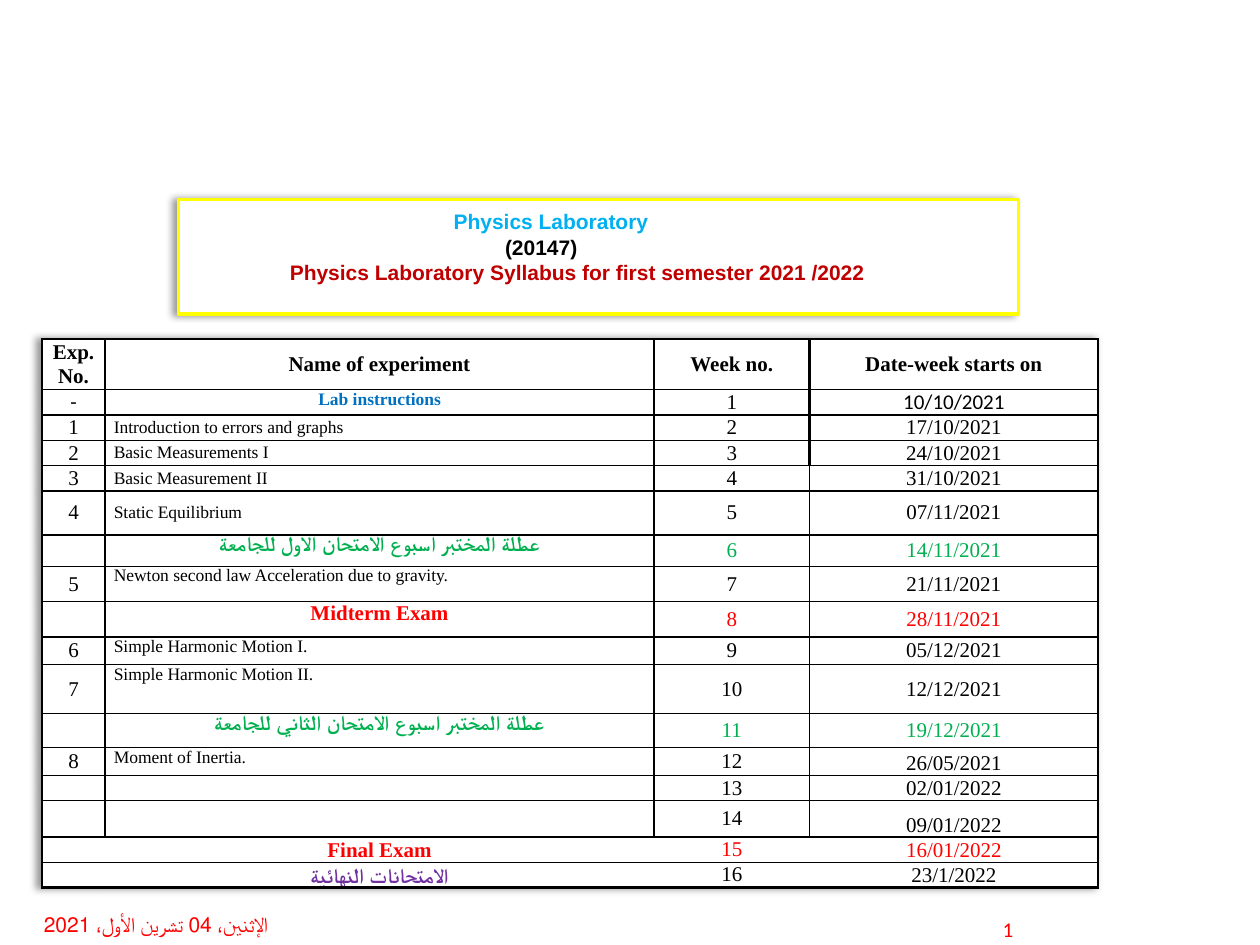
import lxml.etree
import pptx
import pptx.dml.color
import pptx.enum.text
import pptx.oxml.ns
import pptx.util

ANCHOR = pptx.enum.text.MSO_ANCHOR
ALIGN = pptx.enum.text.PP_ALIGN
BLACK, WHITE, RED, GREEN = "000000", "FFFFFF", "FF0000", "00B050"
BLUE, PURPLE, SKY, DARK_RED, YELLOW = "0070C0", "7030A0", "00B0F0", "C00000", "FFFF00"

HEADING = [
    ("Physics Laboratory", SKY, 25),
    ("(20147)", BLACK, 29.9),
    ("Physics Laboratory Syllabus for first semester 2021 /2022", DARK_RED, 9.4),
]
COLUMN_WIDTHS = [6, 52.3, 14.8, 27.5]
HEADERS = ["Exp. No.", "Name of experiment", "Week no.", "Date-week starts on"]
WEEKS = [
    ("-", "Lab instructions", "10/10/2021", 2.4),
    ("1", "Introduction to errors and graphs", "17/10/2021", 2.4),
    ("2", "Basic Measurements I", "24/10/2021", 2.4),
    ("3", "Basic Measurement II", "31/10/2021", 2.4),
    ("4", "Static Equilibrium", "07/11/2021", 4.2),
    ("", "عطلة المختبر اسبوع الامتحان الاول للجامعة", "14/11/2021", 3),
    ("5", "Newton second law Acceleration due to gravity.", "21/11/2021", 3.36),
    ("", "Midterm Exam", "28/11/2021", 3.36),
    ("6", "Simple Harmonic Motion I.", "05/12/2021", 2.64),
    ("7", "Simple Harmonic Motion II.", "12/12/2021", 4.68),
    ("", "عطلة المختبر اسبوع الامتحان الثاني للجامعة", "19/12/2021", 3.24),
    ("8", "Moment of Inertia.", "26/05/2021", 2.64),
    ("", "", "02/01/2022", 2.4),
    ("", "", "09/01/2022", 3.48),
    ("", "Final Exam", "16/01/2022", 2.4),
    ("", "الامتحانات النهائية", "23/1/2022", 2.4),
]
NAME_COLORS = {1: BLUE, 6: GREEN, 8: RED, 11: GREEN, 15: RED, 16: PURPLE}
FULL_ROW_COLORS = {6: GREEN, 8: RED, 11: GREEN, 15: RED}


def color(value):
    return pptx.dml.color.RGBColor.from_string(value)


def element(parent, tag, **attributes):
    return lxml.etree.SubElement(parent, pptx.oxml.ns.qn(tag), attributes)


def add_shadow(effects):
    shadow = element(effects, "a:outerShdw", blurRad="50800", dist="38100", dir="10800000")
    element(element(shadow, "a:srgbClr", val=BLACK), "a:alpha", val="40000")


class SyllabusSlide:
    """Holds the style and current slide on a 120 by 90 grid."""

    def __init__(self, presentation):
        self.unit = presentation.slide_width / 120
        self.font_name = "Times New Roman"
        self.slide = presentation.slides.add_slide(presentation.slide_layouts[5])

    def size(self, units):
        return pptx.util.Emu(round(units * self.unit))

    def format(self, paragraph, text, text_color, font_name, size=12, bold=False, align=ALIGN.CENTER):
        paragraph.text = text
        paragraph.alignment = align
        font = paragraph.font
        font.name, font.size, font.bold = font_name, pptx.util.Pt(size), bold
        font.color.rgb = color(text_color)
        if not text:
            element(paragraph._p, "a:endParaRPr", sz=str(size * 100))

    def title(self, lines, left, top, width, height):
        shape = self.slide.shapes.title
        shape.left, shape.top = self.size(left), self.size(top)
        shape.width, shape.height = self.size(width), self.size(height)
        shape.fill.solid()
        shape.fill.fore_color.rgb = color(WHITE)
        shape.line.color.rgb = color(YELLOW)
        shape.line.width = pptx.util.Pt(2)
        shape.shadow.inherit = False
        add_shadow(shape._element.spPr.find(pptx.oxml.ns.qn("a:effectLst")))
        frame = shape.text_frame
        frame.auto_size = pptx.enum.text.MSO_AUTO_SIZE.NONE
        frame.vertical_anchor = ANCHOR.TOP
        frame.margin_top = self.size(0.9)
        for index, (text, text_color, indent) in enumerate(lines):
            paragraph = frame.add_paragraph() if index else frame.paragraphs[0]
            self.format(paragraph, text, text_color, "Arial", bold=True, align=ALIGN.LEFT)
            paragraph._p.get_or_add_pPr().set("marL", str(self.size(indent)))

    def text(self, text, left, top, width, height, align):
        shape = self.slide.shapes.add_textbox(*map(self.size, (left, top, width, height)))
        frame = shape.text_frame
        frame.word_wrap = True
        frame.vertical_anchor = ANCHOR.MIDDLE
        self.format(frame.paragraphs[0], text, RED, "Calibri", align=align)

    def table(self, rows, heights, widths, left, top):
        box = map(self.size, (left, top, sum(widths), sum(heights)))
        table = self.slide.shapes.add_table(len(rows), len(widths), *box).table
        table.first_row = table.horz_banding = False
        effects = lxml.etree.Element(pptx.oxml.ns.qn("a:effectLst"))
        add_shadow(effects)
        table._tbl.tblPr.insert(0, effects)
        for column, width in zip(table.columns, widths):
            column.width = self.size(width)
        for row, (texts, height) in enumerate(zip(rows, heights)):
            table.rows[row].height = self.size(height)
            for column, text in enumerate(texts):
                self.cell(table.cell(row, column), text, row, column, len(rows) - 1)

    def cell(self, cell, text, row, column, last_row):
        inner = 0 if row > last_row - 2 else 1.5 if row < 4 else 1
        self.border(cell, "L", inner if column else 1.5)
        self.border(cell, "R", inner if column < 3 else 1.5)
        self.border(cell, "T", 1 if row else 1.5)
        self.border(cell, "B", 1 if row < last_row else 1.5)
        cell.fill.solid()
        cell.fill.fore_color.rgb = color(WHITE)
        cell.margin_left = cell.margin_right = self.size(0.84)
        cell.margin_top = cell.margin_bottom = 0
        cell.vertical_anchor = self.anchor(row, column, last_row)
        is_name = column == 1 and row > 0
        marked = is_name and row in NAME_COLORS
        colors = NAME_COLORS if is_name else FULL_ROW_COLORS
        plain_name = is_name and not marked
        font_name = "Calibri" if row == 1 and column in (0, 3) or row == last_row and is_name else self.font_name
        self.format(
            cell.text_frame.paragraphs[0], text, colors.get(row, BLACK), font_name,
            size=10 if plain_name or is_name and row == 1 else 12,
            bold=row == 0 or marked,
            align=ALIGN.LEFT if plain_name else ALIGN.CENTER,
        )

    def anchor(self, row, column, last_row):
        if column == 1 and (row == 1 or 6 <= row <= last_row - 2):
            return ANCHOR.TOP
        if column == 1 and row > last_row - 2:
            return ANCHOR.BOTTOM
        if column == 3 and row >= 12 or row == 1 and column in (0, 3):
            return ANCHOR.BOTTOM
        return ANCHOR.MIDDLE

    def border(self, cell, side, width):
        properties = cell._tc.get_or_add_tcPr()
        line = element(properties, f"a:ln{side}", w=str(pptx.util.Pt(width)))
        if width:
            element(element(line, "a:solidFill"), "a:srgbClr", val=BLACK)
        else:
            element(line, "a:noFill")


def main():
    presentation = pptx.Presentation()
    presentation.slide_width = pptx.util.Inches(10)
    presentation.slide_height = pptx.util.Inches(7.5)
    syllabus = SyllabusSlide(presentation)
    syllabus.title(HEADING, 17, 19, 80, 10.9)
    rows = [HEADERS] + [
        (number, name, str(week), date)
        for week, (number, name, date, height) in enumerate(WEEKS, 1)
    ]
    heights = [4.8] + [week[-1] for week in WEEKS]
    syllabus.table(rows, heights, COLUMN_WIDTHS, 4, 32.3)
    syllabus.text("الإثنين، 04 تشرين الأول، 2021", 3, 86, 30, 4, ALIGN.LEFT)
    syllabus.text("1", 89, 87, 14, 3, ALIGN.CENTER)
    presentation.save("out.pptx")


if __name__ == "__main__":
    main()
